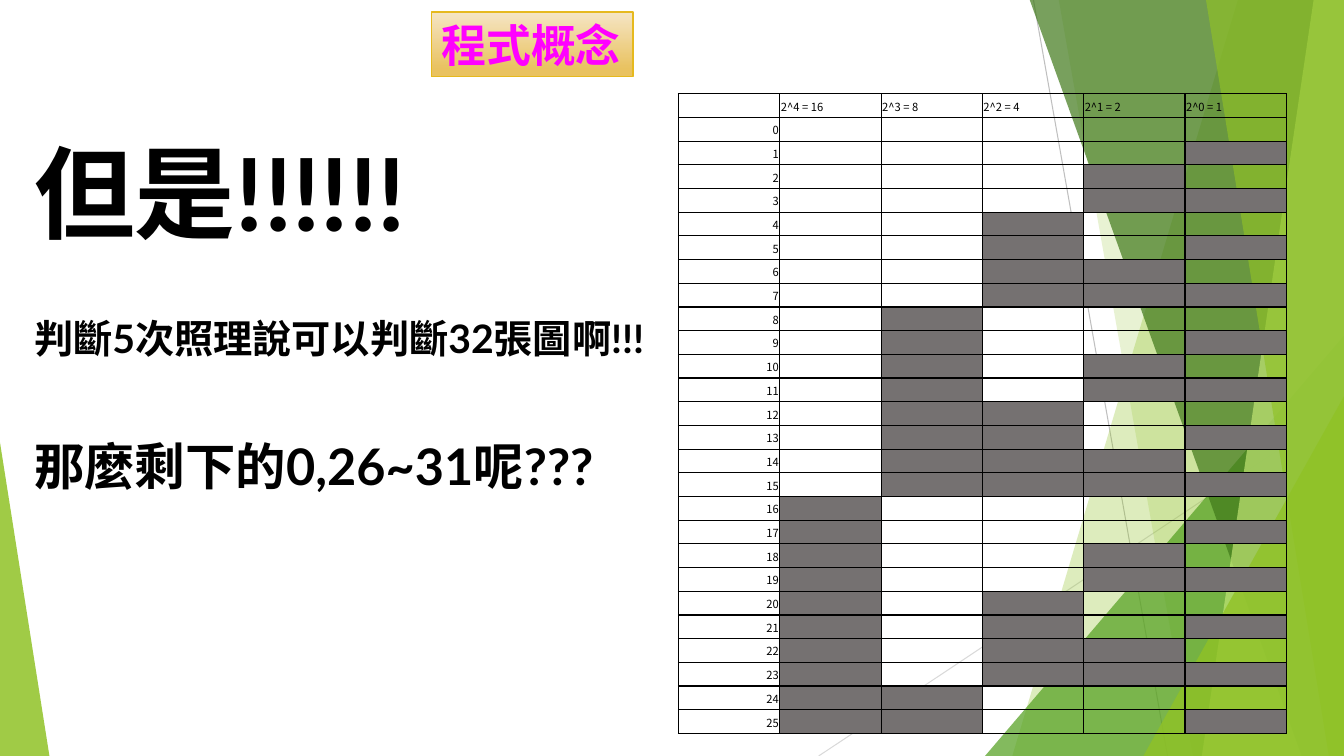
from dataclasses import dataclass

from lxml import etree
from pptx import Presentation
from pptx.dml import color
from pptx.enum import shapes, text
from pptx.oxml import ns
from pptx.util import Inches, Pt

LATIN, HAN = "Lato", "Noto Sans CJK TC"
LIME, GREY, BLACK = "90C226", "757171", "000000"
SLIDE_W, SLIDE_H, TOP = 13.33, 7.5, -0.01
BITS, IMAGE_COUNT = 5, 26


@dataclass(frozen=True)
class Ray:
    start: tuple[float, float]
    end: tuple[float, float]
    shade: str


@dataclass(frozen=True)
class Band:
    top_x: float
    bottom_x: float
    shade: str
    opacity: int


@dataclass(frozen=True)
class Peak:
    left: float
    top: float
    width: float
    apex: float
    shade: str
    opacity: int


@dataclass(frozen=True)
class Remark:
    words: str
    top: float
    width: float
    height: float
    size: int


RAYS = [
    Ray((10.25, 0), (11.58, SLIDE_H), "BFBFBF"),
    Ray((SLIDE_W, 4.03), (8.12, SLIDE_H), "D9D9D9"),
]
FACETS = [
    Band(12.28, 10.04, LIME, 30),
    Band(10.5, 11.83, LIME, 20),
    Peak(9.77, 3.33, 3.56, 1, "54A021", 72),
    Band(10.21, 12.91, "3F7819", 70),
    Band(13.03, 11.92, "C0E474", 70),
    Band(11.96, 13.18, LIME, 65),
    Peak(11.34, 3.93, 1.99, 1, LIME, 80),
    Peak(0, 4.39, 0.49, 0, LIME, 85),
]
REMARKS = [
    Remark("但是!!!!!!", 1.25, 4.45, 1.31, 72),
    Remark("判斷5次照理說可以判斷32張圖啊!!!", 3.07, 6.34, 0.57, 28),
    Remark("那麼剩下的0,26~31呢???", 4.27, 5.86, 0.71, 36),
]


def rgb(code: str) -> color.RGBColor:
    return color.RGBColor.from_string(code)


def write(frame, words: str, *, size: int, font=LATIN, shade=BLACK,
          bold=False, align=text.PP_ALIGN.LEFT) -> None:
    line = frame.paragraphs[0]
    line.alignment = align
    run = line.add_run()
    run.text = words
    run.font.size, run.font.bold, run.font.name = Pt(size), bold, font
    run.font.color.rgb = rgb(shade)
    etree.SubElement(run.font._element, ns.qn("a:ea"), typeface=HAN)


def draw_ray(slide, ray: Ray) -> None:
    line = slide.shapes.add_connector(
        shapes.MSO_CONNECTOR.STRAIGHT, *map(Inches, ray.start + ray.end))
    line.line.color.rgb = rgb(ray.shade)
    line.line.width = Pt(0.75)
    etree.SubElement(line._element.spPr, ns.qn("a:effectLst"))


def draw_facet(slide, facet: Band | Peak) -> None:
    if isinstance(facet, Band):
        corners = [(SLIDE_W, TOP), (SLIDE_W, SLIDE_H), (facet.bottom_x, SLIDE_H)]
        outline = slide.shapes.build_freeform(Inches(facet.top_x), Inches(TOP))
        outline.add_line_segments([(Inches(x), Inches(y)) for x, y in corners])
        drawn = outline.convert_to_shape()
    else:
        drawn = slide.shapes.add_shape(
            shapes.MSO_SHAPE.ISOSCELES_TRIANGLE, Inches(facet.left), Inches(facet.top),
            Inches(facet.width), Inches(SLIDE_H - facet.top))
        drawn.adjustments[0] = facet.apex
    drawn.shadow.inherit = False
    drawn.line.fill.background()
    drawn.fill.solid()
    drawn.fill.fore_color.rgb = rgb(facet.shade)
    tint = drawn._element.spPr.find(f".//{ns.qn('a:srgbClr')}")
    etree.SubElement(tint, ns.qn("a:alpha"), val=str(facet.opacity * 1000))


def draw_heading(slide) -> None:
    heading = slide.shapes.add_shape(
        shapes.MSO_SHAPE.RECTANGLE, Inches(4.28), Inches(0.12), Inches(2), Inches(0.64))
    heading.shadow.inherit = False
    heading.fill.gradient()
    heading.fill.gradient_angle = 270
    stops = [(0, "F5E5C5"), (0.88, "E9C260")]
    for stop, (position, shade) in zip(heading.fill.gradient_stops, stops):
        stop.position = position
        stop.color.rgb = rgb(shade)
    heading.line.color.rgb = rgb("E6B91E")
    heading.line.width = Pt(1)
    heading.text_frame.word_wrap = False
    write(heading.text_frame, "程式概念", size=32, shade="FF00FF", bold=True)


def draw_remark(slide, remark: Remark) -> None:
    frame = slide.shapes.add_textbox(
        Inches(0.24), Inches(remark.top), Inches(remark.width),
        Inches(remark.height)).text_frame
    frame.word_wrap = True
    write(frame, remark.words, size=remark.size, bold=True)


def format_cell(cell, words: str, align, shaded: bool) -> None:
    cell.margin_left = cell.margin_right = cell.margin_top = Inches(0.01)
    cell.margin_bottom = 0
    cell.vertical_anchor = text.MSO_ANCHOR.MIDDLE
    if words:
        write(cell.text_frame, words, size=8, font=HAN, align=align)
    else:
        etree.SubElement(cell.text_frame.paragraphs[0]._p, ns.qn("a:endParaRPr"), sz="800")
    properties = cell._tc.get_or_add_tcPr()
    for side in ("lnL", "lnR", "lnT", "lnB"):
        border = etree.SubElement(properties, ns.qn(f"a:{side}"), w=str(Pt(1)))
        ink = etree.SubElement(border, ns.qn("a:solidFill"))
        etree.SubElement(ink, ns.qn("a:srgbClr"), val=BLACK)
    if shaded:
        cell.fill.solid()
        cell.fill.fore_color.rgb = rgb(GREY)
    else:
        cell.fill.background()


def draw_bit_table(slide) -> None:
    bit_table = slide.shapes.add_table(
        IMAGE_COUNT + 1, BITS + 1, Inches(6.73), Inches(0.93),
        Inches(6.03), Inches(6.35)).table
    bit_table.first_row = bit_table.horz_banding = False
    powers = range(BITS - 1, -1, -1)
    left, right = text.PP_ALIGN.LEFT, text.PP_ALIGN.RIGHT
    format_cell(bit_table.cell(0, 0), "", left, False)
    for column, power in enumerate(powers, 1):
        format_cell(bit_table.cell(0, column), f"2^{power} = {2 ** power}", left, False)
    for number in range(IMAGE_COUNT):
        format_cell(bit_table.cell(number + 1, 0), str(number), right, False)
        for column, power in enumerate(powers, 1):
            format_cell(bit_table.cell(number + 1, column), "", left,
                        bool(number >> power & 1))


def main() -> None:
    deck = Presentation()
    deck.slide_width, deck.slide_height = Inches(SLIDE_W), Inches(SLIDE_H)
    slide = deck.slides.add_slide(deck.slide_layouts[6])
    for ray in RAYS:
        draw_ray(slide, ray)
    for facet in FACETS:
        draw_facet(slide, facet)
    draw_heading(slide)
    for remark in REMARKS:
        draw_remark(slide, remark)
    draw_bit_table(slide)
    deck.save("out.pptx")


if __name__ == "__main__":
    main()
